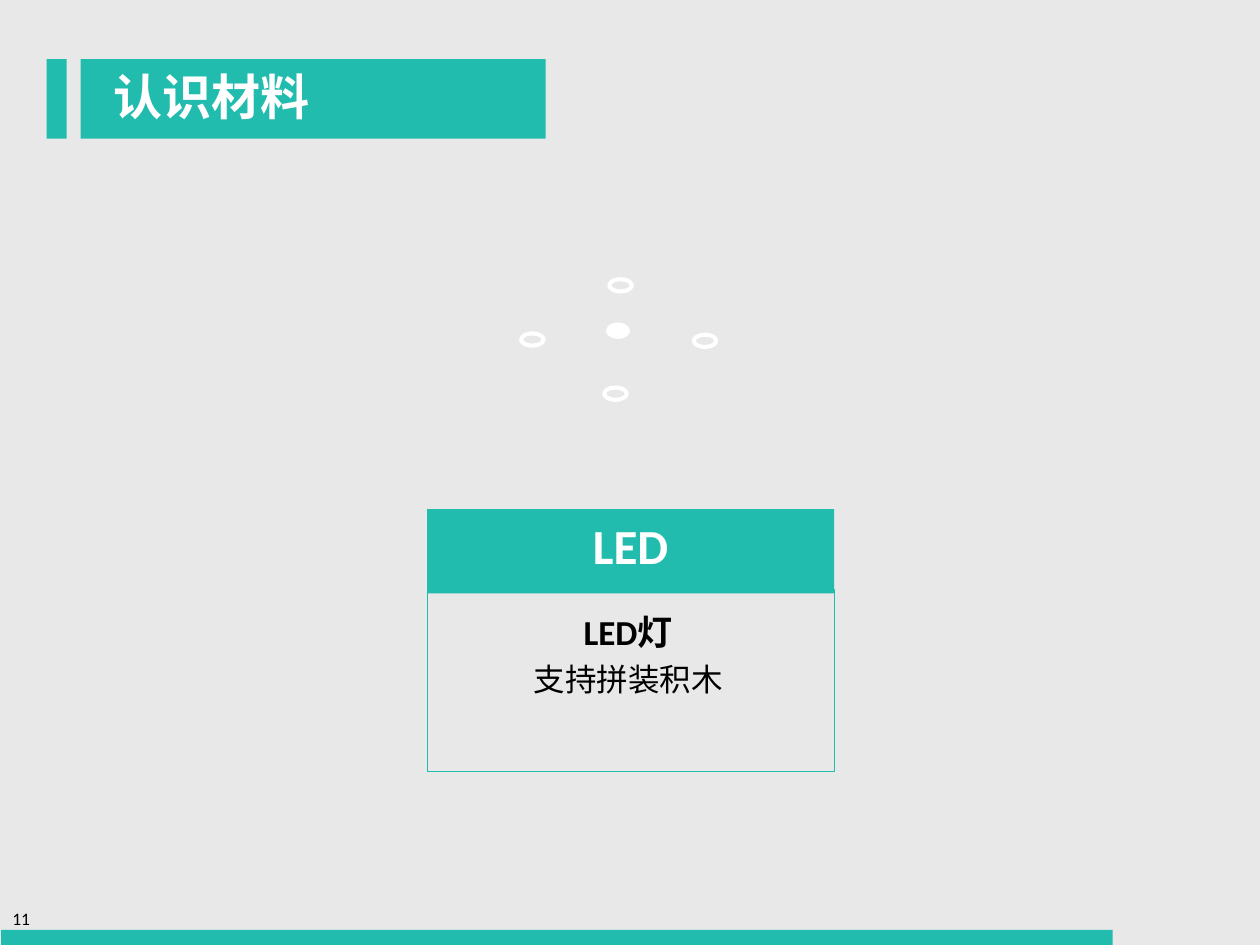
from lxml import etree
from pptx import Presentation
from pptx.dml.color import RGBColor
from pptx.enum.shapes import MSO_SHAPE
from pptx.enum.text import MSO_ANCHOR, PP_ALIGN
from pptx.oxml.ns import qn
from pptx.util import Inches, Pt

RECTANGLE, OVAL, DONUT = MSO_SHAPE.RECTANGLE, MSO_SHAPE.OVAL, MSO_SHAPE.DONUT
LEFT, CENTER = PP_ALIGN.LEFT, PP_ALIGN.CENTER
TOP, MIDDLE = MSO_ANCHOR.TOP, MSO_ANCHOR.MIDDLE
LATIN, CHINESE = "Calibri", "Noto Sans CJK SC"
TEAL, WHITE, BLACK, GREY = "22BCAF", "FFFFFF", "000000", "E8E8E8"

BARS = [
    (0.01, 7.38, 8.82, 0.12),
    (0.37, 0.47, 0.16, 0.63),
    (0.64, 0.47, 3.69, 0.63),
]
CARD_LEFT, CARD_WIDTH = 3.39, 3.23
CARD_HEADER = (CARD_LEFT, 4.04, CARD_WIDTH, 0.67)
CARD_FRAME = (CARD_LEFT, 4.68, CARD_WIDTH, 1.44)
CARD_TEXT = (3.6, 4.73, 2.77, 0.88)

TITLE = [("认识材料", dict(size=Pt(28), bold=True, name=CHINESE), WHITE)]
NUMBER = [("11", dict(size=Pt(10), name=LATIN), BLACK)]
HEADING = [("LED", dict(size=Pt(28), bold=True, name=LATIN), WHITE)]
DETAILS = [
    ("LED灯", dict(size=Pt(20), bold=True, name=LATIN), BLACK),
    ("支持拼装积木", dict(size=Pt(18), bold=False, name=LATIN), BLACK),
]

RING_SIZE = (0.21, 0.13)
RING_CORNERS = [(5.49, 2.64), (4.82, 2.2), (4.78, 3.06), (4.12, 2.63)]
TILE_EDGE = [(4.69, 2.63), (4.9, 2.53), (5.12, 2.63), (5.12, 2.67), (4.89, 2.8), (4.69, 2.66)]
TILE_TOP = [(4.69, 2.63), (4.9, 2.5), (5.12, 2.63), (4.89, 2.77)]
TILE_MARK = (4.81, 2.56, 0.19, 0.13)


def color(value):
    return RGBColor.from_string(value)


def paint(shape, fill=None, line=None):
    shape.shadow.inherit = False
    if fill:
        shape.fill.solid()
        shape.fill.fore_color.rgb = color(fill)
    else:
        shape.fill.background()
    if line:
        shape.line.color.rgb = color(line)
        shape.line.width = Pt(0.5)
    else:
        shape.line.fill.background()
    return shape


def add_shape(page, kind, place, fill=None, line=None):
    return paint(page.shapes.add_shape(kind, *map(Inches, place)), fill, line)


def add_polygon(page, points, fill):
    builder = page.shapes.build_freeform(*points[0], scale=Inches(1))
    builder.add_line_segments(points[1:], close=True)
    return paint(builder.convert_to_shape(), fill)


def write(shape, lines, align=LEFT, anchor=TOP, spacing=1.0, wrap=True):
    frame = shape.text_frame
    frame.word_wrap = wrap
    frame.vertical_anchor = anchor
    for index, (text, font, ink) in enumerate(lines):
        para = frame.add_paragraph() if index else frame.paragraphs[0]
        para.alignment = align
        para.line_spacing = spacing
        span = para.add_run()
        span.text = text
        for key, value in font.items():
            setattr(span.font, key, value)
        span.font.color.rgb = color(ink)
        latin = span.font._element.find(qn("a:latin"))
        east_asian = etree.Element(qn("a:ea"), typeface=CHINESE)
        latin.addnext(east_asian)


def main():
    deck = Presentation()
    deck.slide_width, deck.slide_height = Inches(10), Inches(7.5)
    page = deck.slides.add_slide(deck.slide_layouts[5])
    page.background.fill.solid()
    page.background.fill.fore_color.rgb = color(GREY)

    for place in BARS:
        add_shape(page, RECTANGLE, place, TEAL)
    number = page.shapes.add_textbox(*map(Inches, (0, 7.16, 0.37, 0.27)))
    write(number, NUMBER, wrap=False)

    title = page.shapes.title
    title.left, title.top, title.width, title.height = map(Inches, (0.8, 0.48, 5.01, 0.62))
    write(title, TITLE, anchor=MIDDLE, spacing=0.9)
    number._element.addnext(title._element)

    details = page.shapes.add_textbox(*map(Inches, CARD_TEXT))
    write(details, DETAILS, CENTER, spacing=1.2)
    add_shape(page, RECTANGLE, CARD_FRAME, line=TEAL)
    write(add_shape(page, RECTANGLE, CARD_HEADER, TEAL), HEADING, CENTER)

    for corner in RING_CORNERS:
        add_shape(page, DONUT, corner + RING_SIZE, WHITE)
    add_polygon(page, TILE_EDGE, "D2D1CF")
    add_polygon(page, TILE_TOP, "F9F9F9")
    add_shape(page, OVAL, TILE_MARK, WHITE)
    deck.save("out.pptx")


if __name__ == "__main__":
    main()
